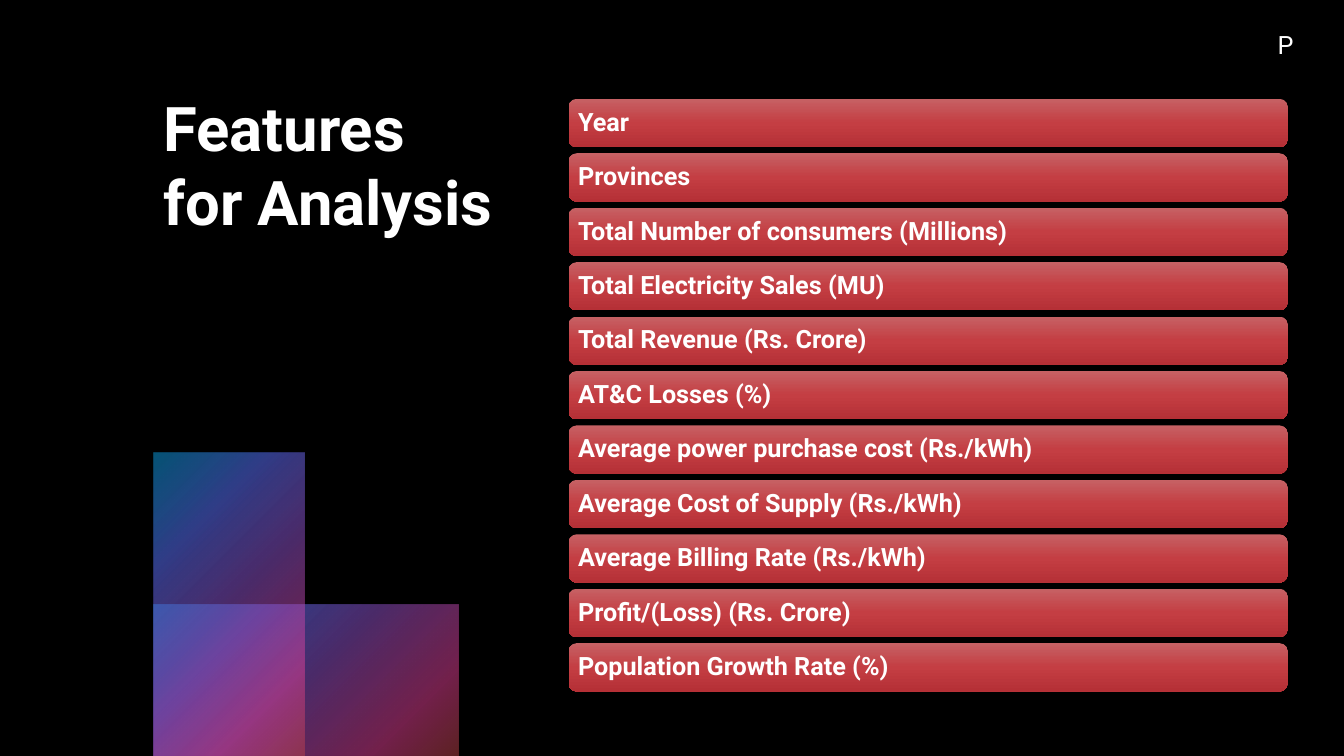
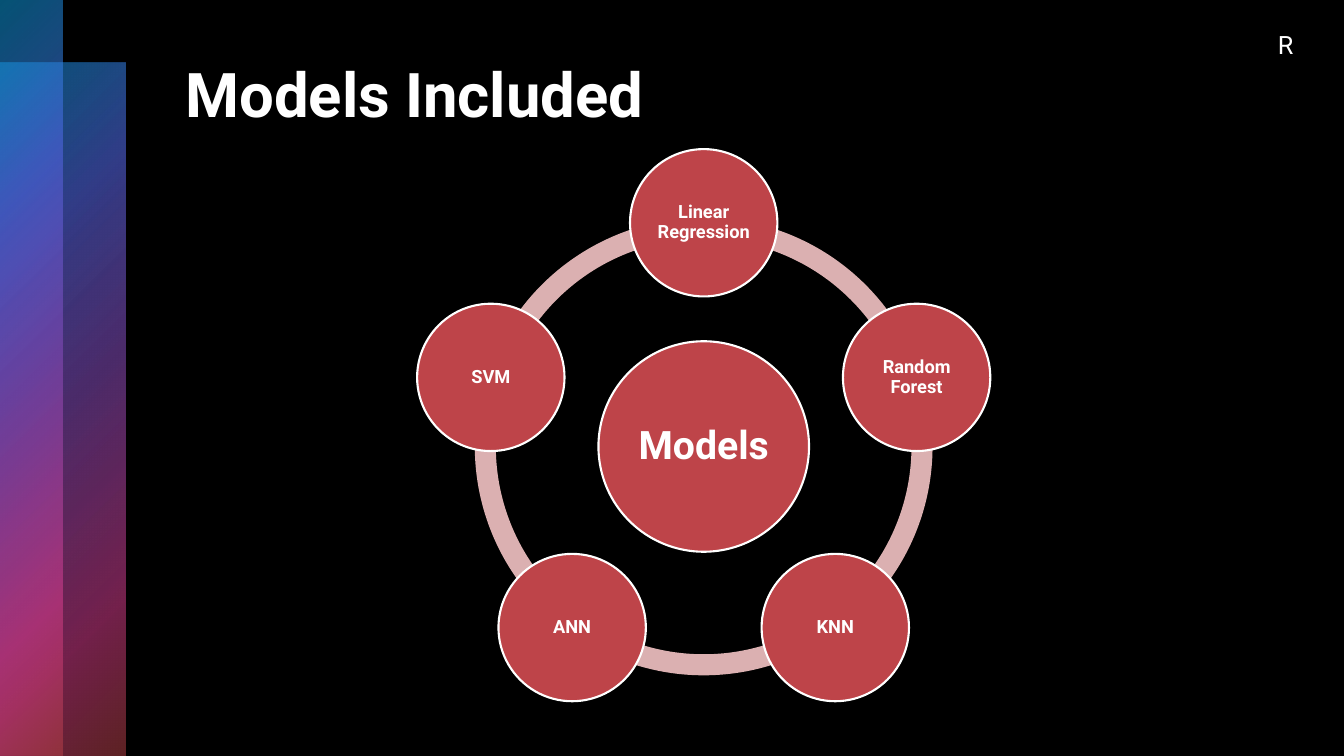
import math
from dataclasses import dataclass

import pptx
import pptx.dml.color
import pptx.enum.shapes
import pptx.enum.text
import pptx.oxml.ns
import pptx.util
from lxml import etree

SHAPE = pptx.enum.shapes.MSO_SHAPE
ANCHOR = pptx.enum.text.MSO_ANCHOR
ALIGN = pptx.enum.text.PP_ALIGN
qn = pptx.oxml.ns.qn


@dataclass(frozen=True)
class Theme:
    font: str = "Roboto"
    back: str = "000000"
    ink: str = "FFFFFF"
    accent: str = "BE4449"
    ring: str = "DBB0B1"
    # Gradient stops: position %, colour, opacity %
    bar: tuple = ((0, "C66164", 100), (50, "C43E43", 100), (100, "B53036", 100))
    glow: tuple = ((0, "0BA5E8", 50), (25, "5066E1", 60), (50, "894EC0", 55),
                   (81, "E54196", 50), (99, "BE4449", 50))
    title: int = 44
    hub: int = 28
    label: int = 18
    node: int = 13


@dataclass(frozen=True)
class Box:
    """A rectangle in inches; areas inside it are given in percent of it."""
    x: float
    y: float
    w: float
    h: float

    def area(self, x, y, w, h):
        return Box(self.x + self.w * x / 100, self.y + self.h * y / 100,
                   self.w * w / 100, self.h * h / 100)

    def emu(self):
        return [pptx.util.Inches(v) for v in (self.x, self.y, self.w, self.h)]


THEME = Theme()
PAGE = Box(0, 0, 13.33, 7.5)


# Shared helpers
def rgb(code):
    return pptx.dml.color.RGBColor.from_string(code)


def fill_gradient(sp, stops, radial=False):
    sp.fill.gradient()
    grad = sp._element.spPr.find(qn("a:gradFill"))
    for child in list(grad):
        grad.remove(child)
    stop_list = etree.SubElement(grad, qn("a:gsLst"))
    for pos, code, opacity in stops:
        gs = etree.SubElement(stop_list, qn("a:gs"), pos=str(pos * 1000))
        clr = etree.SubElement(gs, qn("a:srgbClr"), val=code)
        if opacity < 100:
            etree.SubElement(clr, qn("a:alpha"), val=str(opacity * 1000))
    if radial:
        way = etree.SubElement(grad, qn("a:path"), {"path": "circle"})
        etree.SubElement(way, qn("a:fillToRect"), r="100000", b="100000")
    else:
        etree.SubElement(grad, qn("a:lin"), ang="5400000", scaled="0")


def add_shape(slide, kind, box, fill=None, outlined=False):
    sp = slide.shapes.add_shape(kind, *box.emu())
    sp.shadow.inherit = False
    if fill:
        sp.fill.solid()
        sp.fill.fore_color.rgb = rgb(fill)
    if outlined:
        sp.line.color.rgb = rgb(THEME.ink)
        sp.line.width = pptx.util.Pt(1.5)
    else:
        sp.line.fill.background()
    return sp


def write(sp, text, size, bold=True, align=ALIGN.CENTER, anchor=ANCHOR.MIDDLE,
          inset=None, spacing=None):
    tf = sp.text_frame
    tf.word_wrap = True
    tf.auto_size = pptx.enum.text.MSO_AUTO_SIZE.NONE
    tf.vertical_anchor = anchor
    if inset is not None:
        tf.margin_left = tf.margin_right = pptx.util.Inches(inset)
        tf.margin_top = tf.margin_bottom = pptx.util.Inches(inset)
    tf.text = text
    p = tf.paragraphs[0]
    p.alignment = align
    p.line_spacing = spacing
    p.font.name, p.font.size, p.font.bold = THEME.font, pptx.util.Pt(size), bold
    p.font.color.rgb = rgb(THEME.ink)


def new_slide(prs, title, title_box, corner):
    """Slide with the shared title style and corner letter."""
    slide = prs.slides.add_slide(prs.slide_layouts[5])
    sp = slide.shapes.title
    sp.left, sp.top, sp.width, sp.height = title_box.emu()
    write(sp, title, THEME.title, align=ALIGN.LEFT, anchor=ANCHOR.TOP)
    letter = slide.shapes.add_textbox(*PAGE.area(91.9, 3.2, 7.5, 5.33).emu())
    write(letter, corner, THEME.label, bold=False, anchor=ANCHOR.TOP)
    return slide


# Regions
def glow_panels(slide, box, wide, tall):
    """Two translucent panels that overlap, placed in percent of the box."""
    for panel in (wide, tall):
        sp = add_shape(slide, SHAPE.RECTANGLE, box.area(*panel))
        fill_gradient(sp, THEME.glow, radial=True)


def bar_list(slide, box, items):
    """Equal bars; each gap is an eighth of a bar."""
    height = 100 / (len(items) + (len(items) - 1) / 8)
    for i, item in enumerate(items):
        sp = add_shape(slide, SHAPE.ROUNDED_RECTANGLE,
                       box.area(0, i * height * 9 / 8, 100, height))
        fill_gradient(sp, THEME.bar)
        write(sp, item, THEME.label, align=ALIGN.LEFT, inset=0.07, spacing=0.9)


def model_wheel(slide, box, hub, nodes):
    """Ring with a hub and nodes spread clockwise from the top."""
    ring = add_shape(slide, SHAPE.DONUT, box, THEME.ring)
    ring.adjustments[0] = 0.046

    def disc(x, y, size, text, points):
        sp = add_shape(slide, SHAPE.OVAL,
                       box.area(x - size / 2, y - size / 2, size, size),
                       THEME.accent, outlined=True)
        write(sp, text, points, inset=0.02, spacing=0.9)

    disc(50, 50, 46, hub, THEME.hub)
    for i, node in enumerate(nodes):
        angle = 2 * math.pi * i / len(nodes)
        disc(50 + 48.9 * math.sin(angle), 50 - 48.9 * math.cos(angle),
             32.2, node, THEME.node)


# Slides
def features_slide(prs):
    slide = new_slide(prs, "Features\vfor Analysis",
                      PAGE.area(11.4, 11.2, 26.1, 44.93), "P")
    glow_panels(slide, PAGE.area(11.4, 59.87, 22.73, 40.13),
                wide=(0, 50, 100, 50), tall=(0, 0, 49.5, 100))
    bar_list(slide, PAGE.area(42.31, 13.07, 53.49, 78.4), [
        "Year",
        "Provinces",
        "Total Number of consumers (Millions)",
        "Total Electricity Sales (MU)",
        "Total Revenue (Rs. Crore)",
        "AT&C Losses (%)",
        "Average power purchase cost (Rs./kWh)",
        "Average Cost of Supply (Rs./kWh)",
        "Average Billing Rate (Rs./kWh)",
        "Profit/(Loss) (Rs. Crore)",
        "Population Growth Rate (%)",
    ])


def models_slide(prs):
    slide = new_slide(prs, "Models Included",
                      PAGE.area(13.05, 6.67, 77.79, 22.67), "R")
    glow_panels(slide, PAGE.area(0, 0, 9.3, 100),
                wide=(0, 8.27, 100, 91.73), tall=(0, 0, 50, 100))
    model_wheel(slide, PAGE.area(35.33, 28.8, 34.06, 60.53), "Models",
                ["Linear Regression", "Random Forest", "KNN", "ANN", "SVM"])


def main():
    prs = pptx.Presentation()
    prs.slide_width, prs.slide_height = PAGE.emu()[2:]
    back = prs.slide_master.background.fill
    back.solid()
    back.fore_color.rgb = rgb(THEME.back)
    features_slide(prs)
    models_slide(prs)
    prs.save("out.pptx")


if __name__ == "__main__":
    main()
